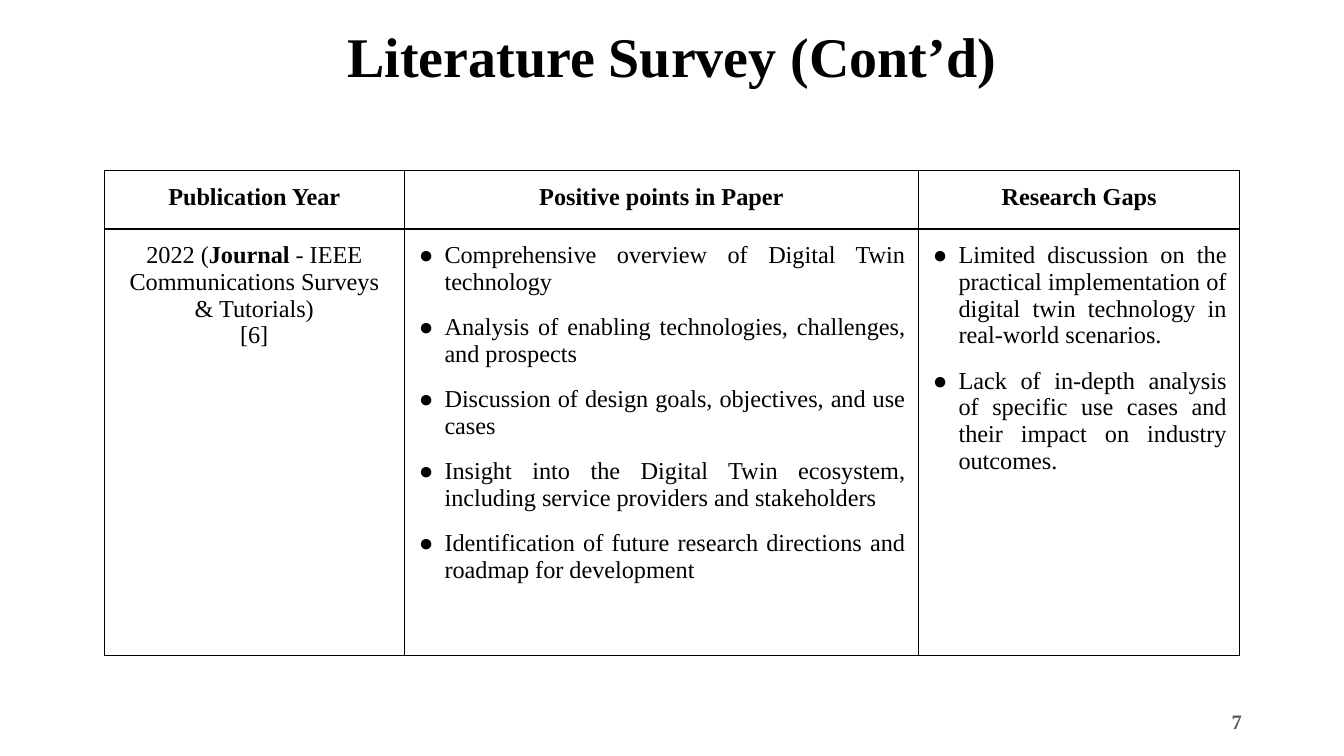
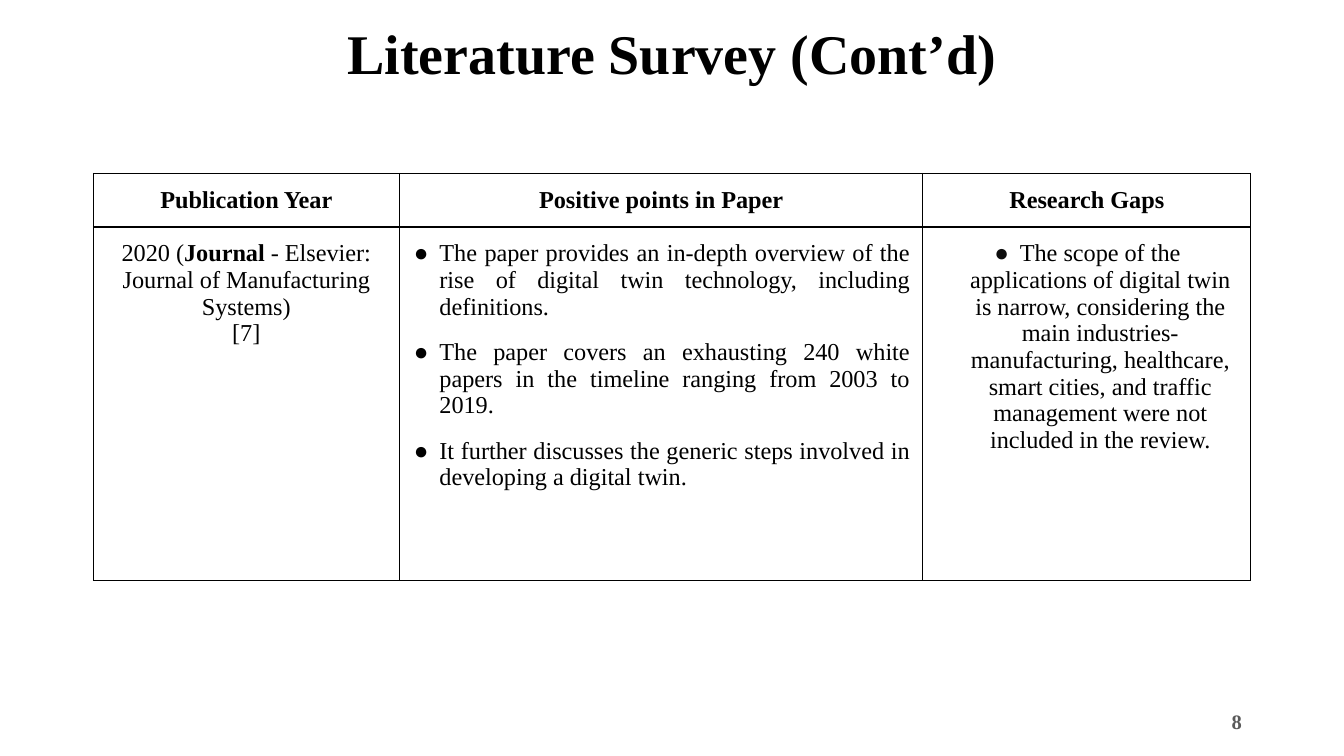
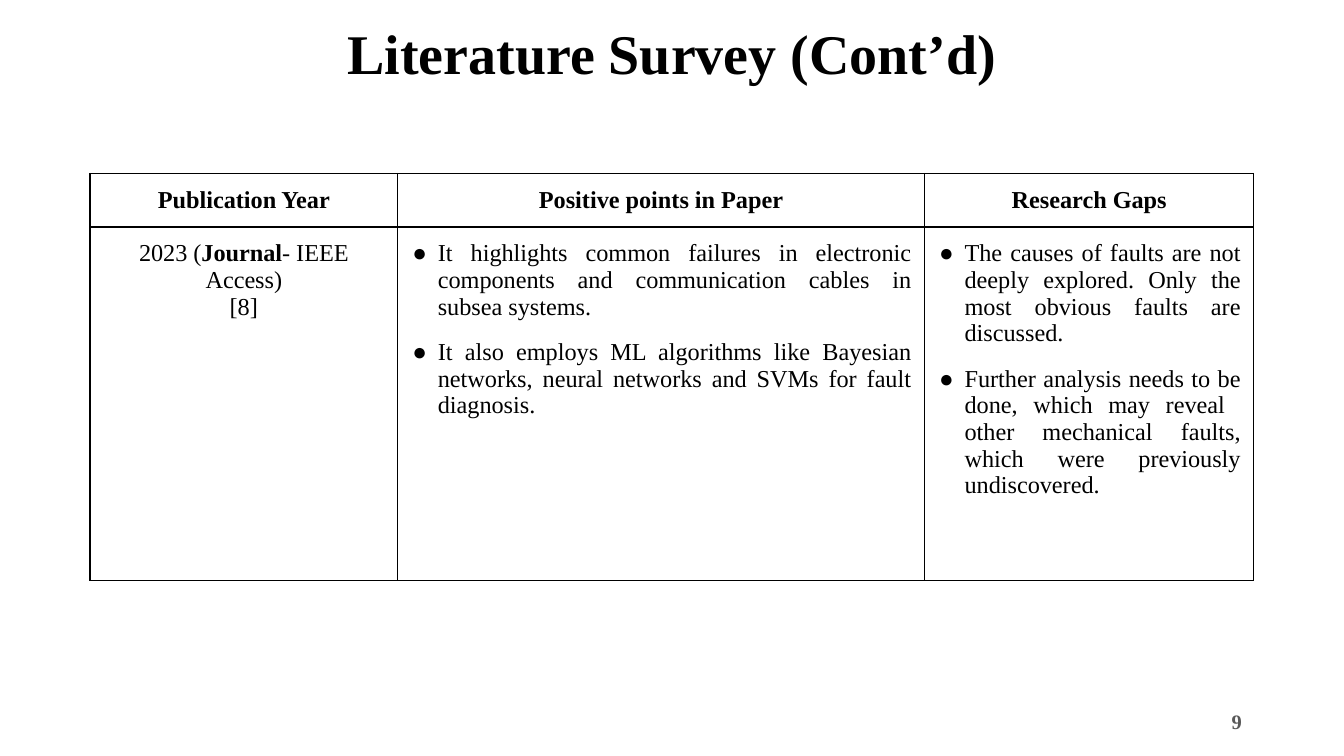
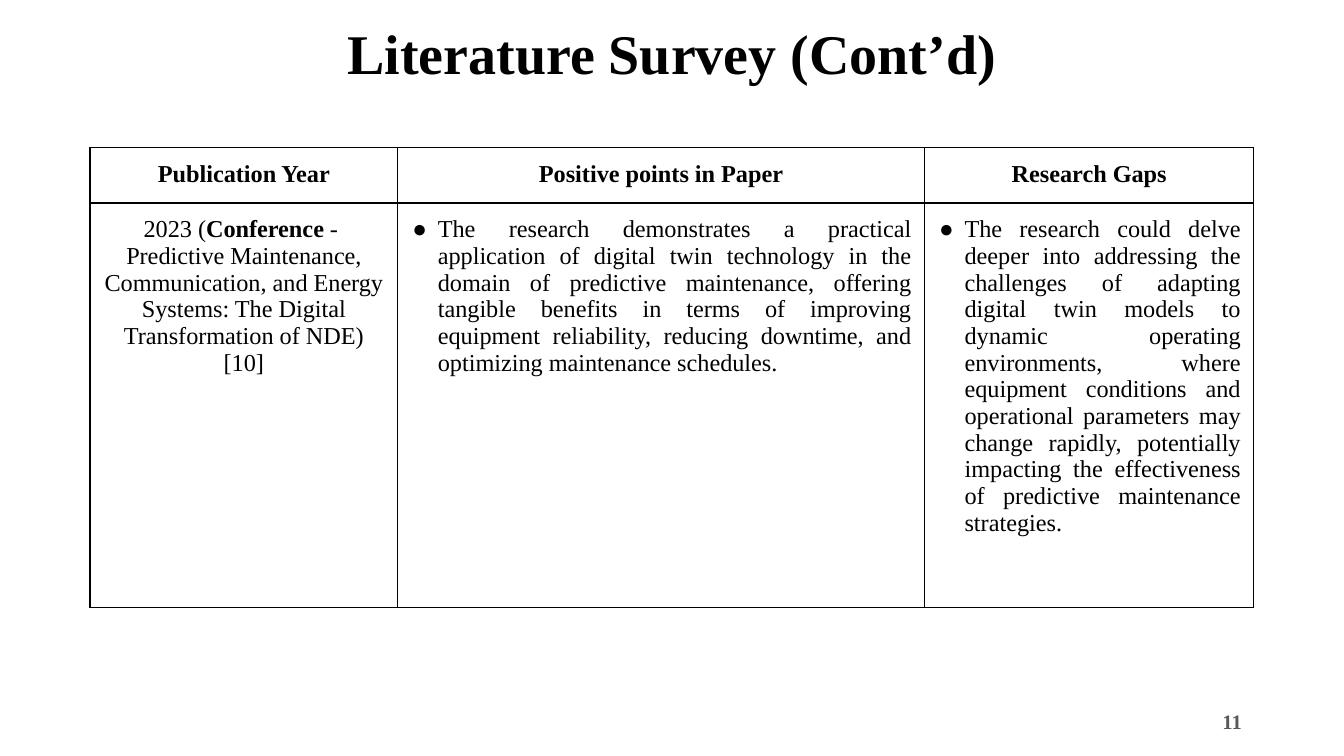
from collections import namedtuple

from lxml.etree import SubElement
from pptx import Presentation
from pptx.dml.color import RGBColor
from pptx.enum.text import MSO_ANCHOR, MSO_AUTO_SIZE, PP_ALIGN
from pptx.oxml.ns import qn
from pptx.util import Inches, Pt

BLACK = RGBColor(0x00, 0x00, 0x00)
WHITE = RGBColor(0xFF, 0xFF, 0xFF)
GREY = RGBColor(0x59, 0x59, 0x59)
NEAR_BLACK = RGBColor(0x0D, 0x0D, 0x0D)
FONT = "Times New Roman"

SLIDE_W = Inches(10)
SLIDE_H = SLIDE_W * 9 // 16
GRID_STEP = SLIDE_W / 100
COLUMN_WEIGHTS = (2.23, 3.82, 2.39)
ROW_WEIGHTS = (0.12, 0.88)
CELL_INSET = Inches(0.1)

TITLE = "Literature Survey (Cont’d)"
HEADINGS = ("Publication Year", "Positive points in Paper", "Research Gaps")

Box = namedtuple("Box", "left top width height")
Survey = namedtuple(
    "Survey",
    "number title_top title_height table_top table_width table_height "
    "source positives gaps gap_align gap_bullet",
    defaults=(PP_ALIGN.JUSTIFY, BLACK),
)

SURVEYS = (
    Survey(
        "7", 1.8, 4.3, 12.7, 84.5, 36.1,
        ("2022 (", "Journal", " - IEEE Communications Surveys & Tutorials)", "[6]"),
        (
            "Comprehensive overview of Digital Twin technology",
            "Analysis of enabling technologies, challenges, and prospects",
            "Discussion of design goals, objectives, and use cases",
            "Insight into the Digital Twin ecosystem, including service providers and stakeholders",
            "Identification of future research directions and roadmap for development",
        ),
        (
            "Limited discussion on the practical implementation of digital twin technology "
            "in real-world scenarios.",
            "Lack of in-depth analysis of specific use cases and their impact on industry outcomes.",
        ),
    ),
    Survey(
        "8", 1.55, 10.9, 12.9, 86.1, 29.9,
        ("2020 (", "Journal", " - Elsevier: Journal of Manufacturing Systems)", "[7]"),
        (
            "The paper provides an in-depth overview of the rise of digital twin technology, "
            "including definitions.",
            "The paper covers an exhausting 240 white papers in the timeline ranging from 2003 to 2019.",
            "It further discusses the generic steps involved in developing a digital twin.",
        ),
        (
            "The scope of the applications of digital twin is narrow, considering the main "
            "industries- manufacturing, healthcare, smart cities, and traffic management were "
            "not included in the review.",
        ),
        PP_ALIGN.CENTER, NEAR_BLACK,
    ),
    Survey(
        "9", 1.55, 10.9, 12.9, 86.6, 29.9,
        ("2023 (", "Journal", "- IEEE Access)", "[8]"),
        (
            "It highlights common failures in electronic components and communication cables "
            "in subsea systems.",
            "It also employs ML algorithms like Bayesian networks, neural networks and SVMs "
            "for fault diagnosis.",
        ),
        (
            "The causes of faults are not deeply explored. Only the most obvious faults are discussed.",
            "Further analysis needs to be done, which may reveal  other mechanical faults, "
            "which were previously undiscovered.",
        ),
    ),
    Survey(
        "11", 1.55, 8, 11, 86.6, 34.2,
        (
            "2023 (", "Conference",
            " -  Predictive Maintenance, Communication, and Energy Systems: "
            "The Digital Transformation of NDE)",
            "[10]",
        ),
        (
            "The research demonstrates a practical application of digital twin technology in the "
            "domain of predictive maintenance, offering tangible benefits in terms of improving "
            "equipment reliability, reducing downtime, and optimizing maintenance schedules.",
        ),
        (
            "The research could delve deeper into addressing the challenges of adapting digital "
            "twin models to dynamic operating environments, where equipment conditions and "
            "operational parameters may change rapidly, potentially impacting the effectiveness "
            "of predictive maintenance strategies.",
        ),
    ),
)


def grid_box(left, top, width, height):
    return Box(*(round(steps * GRID_STEP) for steps in (left, top, width, height)))


def split(length, weights):
    return [round(length * weight / sum(weights)) for weight in weights]


def write(paragraph, text, size=13, bold=False, color=BLACK, align=PP_ALIGN.CENTER):
    paragraph.alignment = align
    run = paragraph.add_run()
    run.text = text
    run.font.name = FONT
    run.font.size = Pt(size)
    run.font.bold = bold
    run.font.color.rgb = color


def set_insets(frame):
    frame.margin_left = frame.margin_right = Inches(0.07)
    frame.margin_top = frame.margin_bottom = Inches(0.04)


def next_paragraph(frame, index):
    return frame.add_paragraph() if index else frame.paragraphs[0]


def add_bullet(paragraph, color):
    properties = paragraph._p.get_or_add_pPr()
    properties.set("marL", str(Inches(0.2)))
    properties.set("indent", str(Inches(-0.19)))
    bullet_color = SubElement(properties, qn("a:buClr"))
    SubElement(bullet_color, qn("a:srgbClr"), val=str(color))
    SubElement(properties, qn("a:buFont"), typeface=FONT)
    SubElement(properties, qn("a:buChar"), char="●")


def write_bullets(frame, points, align=PP_ALIGN.JUSTIFY, bullet_color=BLACK):
    for index, point in enumerate(points):
        paragraph = next_paragraph(frame, index)
        add_bullet(paragraph, bullet_color)
        if index:
            paragraph.space_before = Pt(10)
        write(paragraph, point, align=align)
    paragraph.space_after = Pt(10)


def write_source(frame, source):
    year, kind, venue, reference = source
    publication = frame.paragraphs[0]
    write(publication, year)
    write(publication, kind, bold=True)
    write(publication, venue)
    write(frame.add_paragraph(), reference)


def style_cell(cell):
    cell.fill.background()
    cell.margin_left = cell.margin_right = CELL_INSET
    cell.margin_top = cell.margin_bottom = CELL_INSET
    properties = cell._tc.get_or_add_tcPr()
    for position, side in enumerate(("a:lnL", "a:lnR", "a:lnT", "a:lnB")):
        border = SubElement(properties, qn(side), w=str(Pt(0.75)))
        fill = SubElement(border, qn("a:solidFill"))
        SubElement(fill, qn("a:srgbClr"), val=str(BLACK))
        properties.insert(position, border)


def place_title(slide, box):
    title = slide.shapes.title
    title.left, title.top, title.width, title.height = box
    title.line.color.rgb = WHITE
    title.line.width = Pt(0.75)
    frame = title.text_frame
    frame.auto_size = MSO_AUTO_SIZE.NONE
    frame.vertical_anchor = MSO_ANCHOR.TOP
    set_insets(frame)
    heading = frame.paragraphs[0]
    heading.line_spacing = 0.9
    write(heading, TITLE, size=30, bold=True)


def place_survey_table(slide, box, survey):
    table = slide.shapes.add_table(len(ROW_WEIGHTS), len(COLUMN_WEIGHTS), *box).table
    table.first_row = table.horz_banding = False
    for column, width in zip(table.columns, split(box.width, COLUMN_WEIGHTS)):
        column.width = width
    for row, height in zip(table.rows, split(box.height, ROW_WEIGHTS)):
        row.height = height
    for cell in table.iter_cells():
        style_cell(cell)
    for index, heading in enumerate(HEADINGS):
        write(table.cell(0, index).text_frame.paragraphs[0], heading, bold=True)
    source, positives, gaps = (cell.text_frame for cell in table.rows[1].cells)
    write_source(source, survey.source)
    write_bullets(positives, survey.positives)
    write_bullets(gaps, survey.gaps, survey.gap_align, survey.gap_bullet)


def place_page_number(slide, box, number):
    frame = slide.shapes.add_textbox(*box).text_frame
    frame.word_wrap = True
    frame.vertical_anchor = MSO_ANCHOR.MIDDLE
    set_insets(frame)
    write(frame.paragraphs[0], number, size=11, bold=True, color=GREY, align=PP_ALIGN.RIGHT)


def build_survey_slide(deck, survey):
    slide = deck.slides.add_slide(deck.slide_layouts[5])
    table_left = (100 - survey.table_width) / 2
    table_box = grid_box(table_left, survey.table_top, survey.table_width, survey.table_height)
    place_survey_table(slide, table_box, survey)
    place_page_number(slide, grid_box(70.6, 52.15, 22.5, 3), survey.number)
    place_title(slide, grid_box(6.9, survey.title_top, 86.2, survey.title_height))


def main():
    deck = Presentation()
    deck.slide_width, deck.slide_height = SLIDE_W, SLIDE_H
    for survey in SURVEYS:
        build_survey_slide(deck, survey)
    deck.save("out.pptx")


if __name__ == "__main__":
    main()
